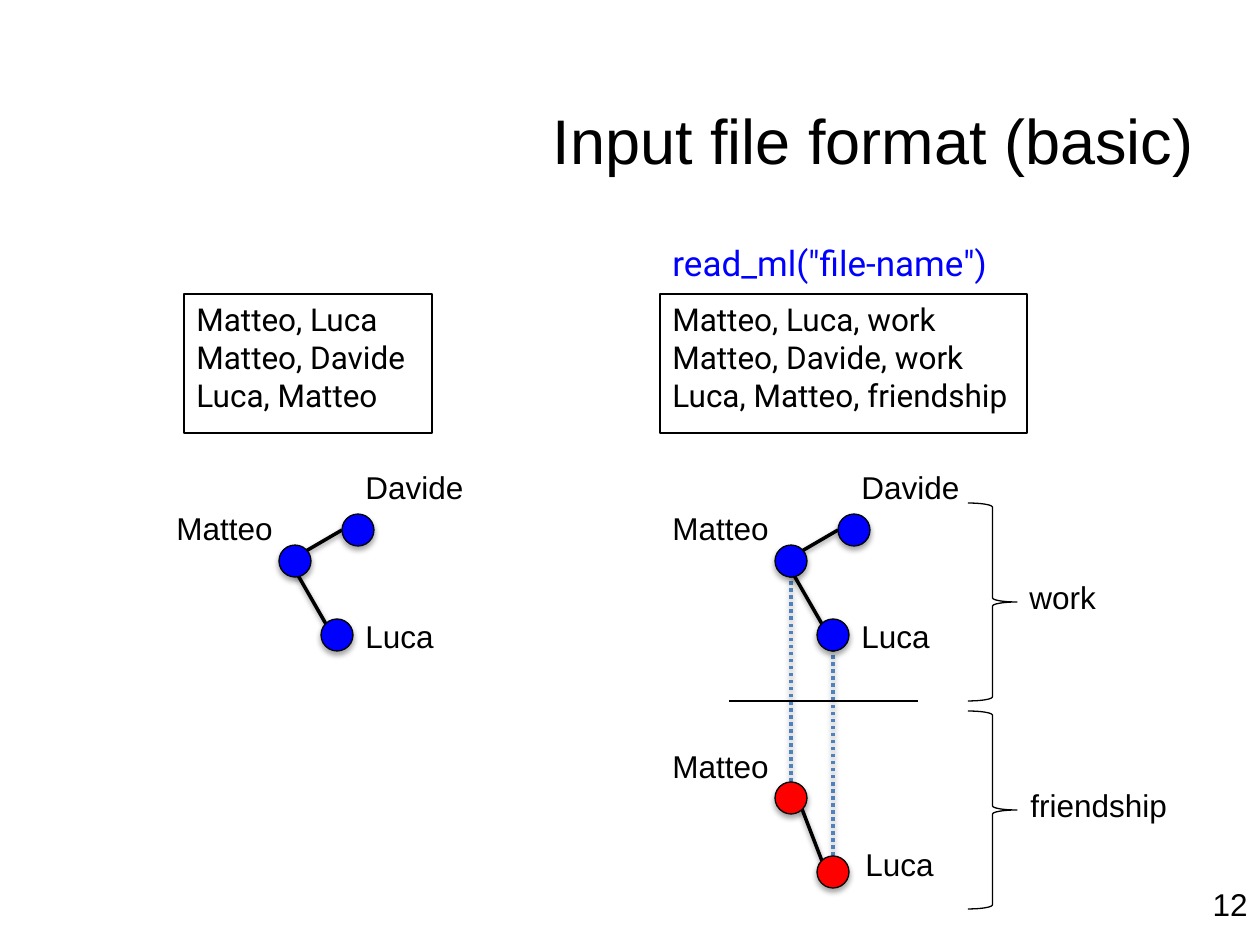
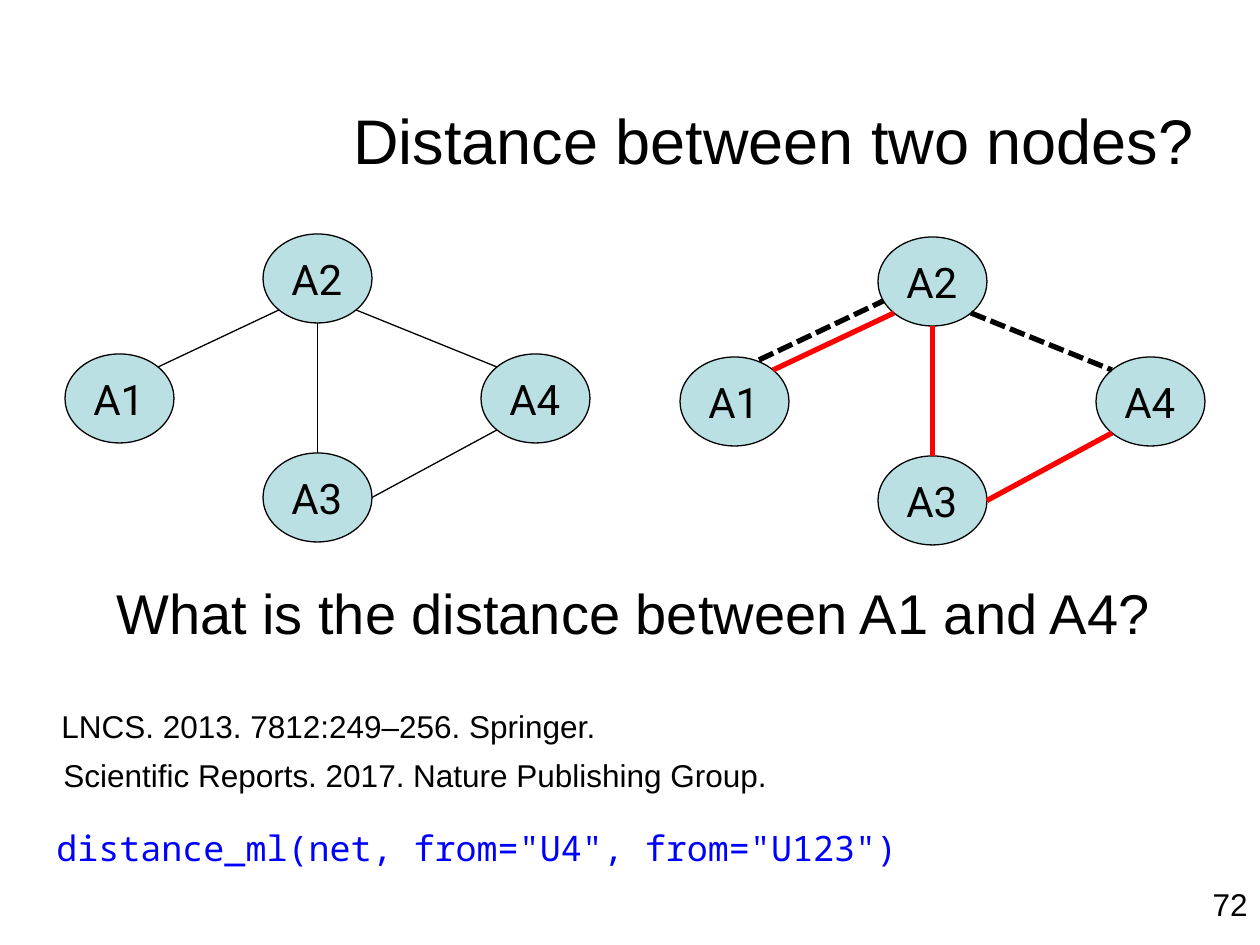
from dataclasses import dataclass
from enum import Enum
from math import cos, radians, sin

from lxml.etree import SubElement
from pptx import Presentation
from pptx.dml.color import RGBColor
from pptx.enum.dml import MSO_LINE
from pptx.enum.shapes import MSO_CONNECTOR, MSO_SHAPE
from pptx.enum.text import MSO_ANCHOR, PP_ALIGN
from pptx.oxml.ns import qn
from pptx.util import Pt

EMU_PER_PX = 914400 / 126


@dataclass(frozen=True)
class Theme:
    ink: str = "000000"
    paper: str = "FFFFFF"
    code: str = "0000FF"
    work: str = "0000FF"
    friendship: str = "FF0000"
    same_person: str = "4F81BD"
    node: str = "BBE0E3"
    route: str = "FF0000"
    sans: str = "Arial"
    data: str = "Roboto"
    mono: str = "Noto Sans Mono"
    title_size: int = 36
    question_size: int = 32
    node_size: int = 24
    code_size: int = 20
    body_size: int = 18
    hairline: float = 0.75
    link: float = 2
    bold_line: float = 3


THEME = Theme()


@dataclass(frozen=True)
class Person:
    name: str
    left: int
    top: int
    label_left: int
    label_top: int


@dataclass(frozen=True)
class Layer:
    color: str
    people: tuple[Person, ...]
    links: tuple[tuple[int, int, int, int], ...]


@dataclass(frozen=True)
class Stroke:
    color: str = THEME.ink
    width: float = THEME.hairline
    dash: MSO_LINE | None = None


class Side(Enum):
    """Angles on an ellipse, clockwise from the right."""
    RIGHT = 0
    LOWER_RIGHT = 45
    BOTTOM = 90
    LOWER_LEFT = 135
    UPPER_LEFT = 225
    TOP = 270
    UPPER_RIGHT = 315


@dataclass(frozen=True)
class Edge:
    start: str
    start_side: Side
    end: str
    end_side: Side


PERSON_SIZE = 32
LABEL_HEIGHT = 50
LABEL_WIDTHS = {"Matteo": 122, "Davide": 125, "Luca": 95, "work": 95, "friendship": 164}
RIGHT_SHIFT = 496

WORK = Layer(
    THEME.work,
    (
        Person("Matteo", 279, 545, 164, 503),
        Person("Davide", 342, 514, 353, 462),
        Person("Luca", 321, 619, 353, 611),
    ),
    ((306, 551, 342, 530), (284, 551, 326, 624)),
)
FRIENDSHIP = Layer(
    THEME.friendship,
    (Person("Matteo", 279, 782, 164, 741), Person("Luca", 321, 856, 357, 839)),
    ((306, 809, 326, 861),),
)

NODE_WIDTH, NODE_HEIGHT = 109, 89
NODES = {"A1": (65, 354), "A2": (263, 234), "A3": (263, 453), "A4": (481, 354)}
EDGES = (
    Edge("A1", Side.UPPER_RIGHT, "A2", Side.LOWER_LEFT),
    Edge("A3", Side.TOP, "A2", Side.BOTTOM),
    Edge("A3", Side.RIGHT, "A4", Side.LOWER_LEFT),
    Edge("A2", Side.LOWER_RIGHT, "A4", Side.UPPER_LEFT),
)


def px(*lengths: float) -> list[int]:
    return [round(length * EMU_PER_PX) for length in lengths]


def write_text(shape, text: str, *, size: int = THEME.body_size, font: str = THEME.sans,
               color: str = THEME.ink, align=PP_ALIGN.LEFT, anchor=MSO_ANCHOR.TOP,
               wrap: bool = True) -> None:
    """Fill a shape with one paragraph for each line of text."""
    frame = shape.text_frame
    frame.word_wrap = wrap
    frame.vertical_anchor = anchor
    for index, line in enumerate(text.split("\n")):
        para = frame.add_paragraph() if index else frame.paragraphs[0]
        para.alignment = align
        span = para.add_run()
        span.text = line
        span.font.size = Pt(size)
        span.font.name = font
        span.font.color.rgb = RGBColor.from_string(color)


def add_text(page, text: str, left: int, top: int, width: int, height: int, **style) -> None:
    write_text(page.shapes.add_textbox(*px(left, top, width, height)), text, **style)


def set_shadow(properties, alpha: int | None = None, distance: float = 0) -> None:
    """Replace the themed shadow by a soft downward one, or by none."""
    effects = properties.find(qn("a:effectLst"))
    if effects is None:
        effects = SubElement(properties, qn("a:effectLst"))
    if alpha is not None:
        shadow = SubElement(effects, qn("a:outerShdw"), blurRad=str(Pt(3.1)),
                            dist=str(Pt(distance)), dir="5400000", rotWithShape="0")
        color = SubElement(shadow, qn("a:srgbClr"), val=THEME.ink)
        SubElement(color, qn("a:alpha"), val=str(alpha * 1000))


def add_outline(page, kind: MSO_SHAPE, left: int, top: int, width: int, height: int,
                fill: str | None = None):
    """Add a shape with a thin dark line and an optional fill."""
    shape = page.shapes.add_shape(kind, *px(left, top, width, height))
    shape.shadow.inherit = False
    if fill:
        shape.fill.solid()
        shape.fill.fore_color.rgb = RGBColor.from_string(fill)
    else:
        shape.fill.background()
    shape.line.color.rgb = RGBColor.from_string(THEME.ink)
    shape.line.width = Pt(THEME.hairline)
    return shape


def add_line(page, ends: tuple[float, ...], stroke: Stroke = Stroke(),
             shadowed: bool = False) -> None:
    line = page.shapes.add_connector(MSO_CONNECTOR.STRAIGHT, *px(*ends))
    line.line.color.rgb = RGBColor.from_string(stroke.color)
    line.line.width = Pt(stroke.width)
    if stroke.dash:
        line.line.dash_style = stroke.dash
    set_shadow(line._element.spPr, 38 if shadowed else None, 1.6)


def add_label(page, name: str, left: int, top: int) -> None:
    add_text(page, name, left, top, LABEL_WIDTHS[name], LABEL_HEIGHT, wrap=False)


def add_page(deck, title: str, number: int):
    page = deck.slides.add_slide(deck.slide_layouts[6])
    add_text(page, title, 243, 84, 963, 111, size=THEME.title_size,
             align=PP_ALIGN.RIGHT, anchor=MSO_ANCHOR.MIDDLE)
    add_text(page, str(number), 1145, 879, 115, 45, align=PP_ALIGN.RIGHT)
    return page


def draw_layer(page, layer: Layer, shift: int = 0) -> None:
    for x1, y1, x2, y2 in layer.links:
        add_line(page, (x1 + shift, y1, x2 + shift, y2), Stroke(width=THEME.link), True)
    for person in layer.people:
        dot = add_outline(page, MSO_SHAPE.OVAL, person.left + shift, person.top,
                          PERSON_SIZE, PERSON_SIZE, layer.color)
        set_shadow(dot._element.spPr, 35, 1.8)
        add_label(page, person.name, person.label_left + shift, person.label_top)


def draw_file(page, text: str, left: int, width: int) -> None:
    box = add_outline(page, MSO_SHAPE.RECTANGLE, left, 294, width, 139, THEME.paper)
    write_text(box, text, font=THEME.data)


def edge_point(node: str, side: Side, shift: tuple[int, int]) -> tuple[float, float]:
    left, top = NODES[node]
    angle = radians(side.value)
    return (left + shift[0] + NODE_WIDTH / 2 * (1 + cos(angle)),
            top + shift[1] + NODE_HEIGHT / 2 * (1 + sin(angle)))


def draw_network(page, strokes: list[Stroke], shift: tuple[int, int] = (0, 0)) -> None:
    for name, (left, top) in NODES.items():
        node = add_outline(page, MSO_SHAPE.OVAL, left + shift[0], top + shift[1],
                           NODE_WIDTH, NODE_HEIGHT, THEME.node)
        write_text(node, name, size=THEME.node_size, font=THEME.data)
    for edge, stroke in zip(EDGES, strokes):
        ends = (edge_point(edge.start, edge.start_side, shift)
                + edge_point(edge.end, edge.end_side, shift))
        add_line(page, ends, stroke)


def build_input_page(deck) -> None:
    page = add_page(deck, "Input file format (basic)", 12)
    draw_file(page, "Matteo, Luca\nMatteo, Davide\nLuca, Matteo", 184, 248)
    draw_file(page, "Matteo, Luca, work\nMatteo, Davide, work\nLuca, Matteo, friendship",
              660, 367)
    add_text(page, 'read_ml("file-name")', 660, 235, 347, 55, size=THEME.code_size,
             font=THEME.data, color=THEME.code, wrap=False)

    same_person = Stroke(THEME.same_person, THEME.link, MSO_LINE.ROUND_DOT)
    for x, bottom, top in ((791, 782, 577), (833, 856, 650)):
        add_line(page, (x, bottom, x, top), same_person, True)
    draw_layer(page, WORK)
    for layer in (WORK, FRIENDSHIP):
        draw_layer(page, layer, RIGHT_SHIFT)
    add_line(page, (729, 701, 918, 701))

    for name, top, label_left, label_top in (("work", 503, 1017, 572),
                                             ("friendship", 711, 1018, 780)):
        add_outline(page, MSO_SHAPE.RIGHT_BRACE, 968, top, 49, 198)
        add_label(page, name, label_left, label_top)


def build_distance_page(deck) -> None:
    page = add_page(deck, "Distance between two nodes?", 72)
    dashed = Stroke(THEME.ink, THEME.bold_line, MSO_LINE.SQUARE_DOT)
    route = Stroke(THEME.route, THEME.bold_line)
    add_line(page, (740, 369, 898, 294), dashed)
    draw_network(page, [Stroke()] * len(EDGES))
    draw_network(page, [route, route, route, dashed], (615, 3))

    add_text(page, "What is the distance between A1 and A4?", 104, 572, 1070, 81,
             size=THEME.question_size, wrap=False)
    add_text(page, "LNCS. 2013. 7812:249–256. Springer.", 49, 701, 630, 50)
    add_text(page, "Scientific Reports. 2017. Nature Publishing Group.", 51, 750, 833, 50)
    add_text(page, 'distance_ml(net, from="U4", from="U123")', 44, 820, 1071, 55,
             size=THEME.code_size, font=THEME.mono, color=THEME.code)


def main() -> None:
    deck = Presentation()
    deck.slide_width, deck.slide_height = px(1260, 945)
    build_input_page(deck)
    build_distance_page(deck)
    deck.save("out.pptx")


if __name__ == "__main__":
    main()
